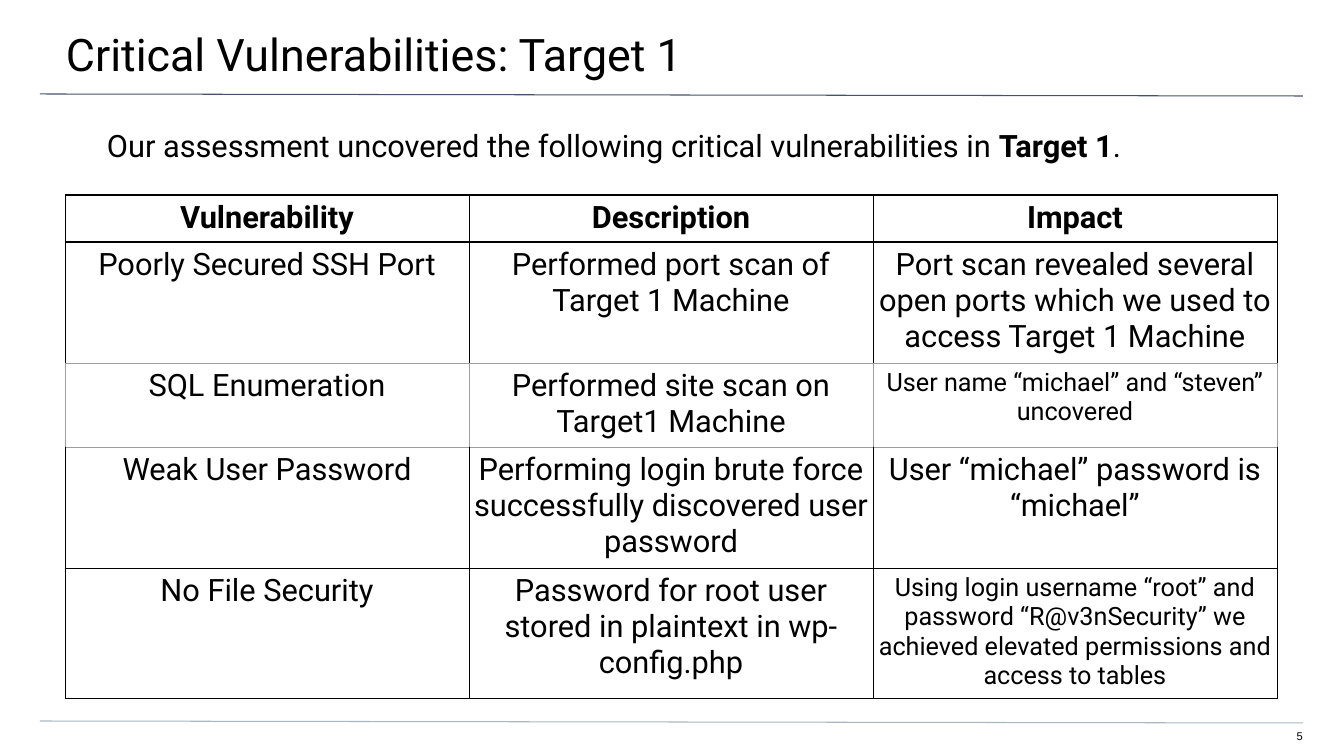
import pptx
import pptx.util
import pptx.dml.color
import pptx.enum.shapes
import pptx.enum.text
import pptx.oxml
import pptx.oxml.ns

# Content
TITLE = "Critical Vulnerabilities: Target 1"
INTRO = [
    ("Our assessment uncovered the following critical vulnerabilities in ", False),
    ("Target 1", True),
    (".", False),
]
PAGE_NUMBER = "5"
ROWS = [
    ("Vulnerability", "Description", "Impact"),
    ("Poorly Secured SSH Port", "Performed port scan of Target 1 Machine",
     "Port scan revealed several open ports which we used to access Target 1 Machine"),
    ("SQL Enumeration", "Performed site scan on Target1 Machine",
     "User name “michael” and “steven” uncovered"),
    ("Weak User Password",
     "Performing login brute force successfully discovered user password",
     "User “michael” password is “michael”"),
    ("No File Security", "Password for root user stored in plaintext in wp-config.php",
     "Using login username “root” and password “R@v3nSecurity” we "
     "achieved elevated permissions and access to tables"),
]
SMALL_CELLS = {(2, 2), (4, 2)}
GREY_ROW = 2

# Layout in px
PX_PER_INCH = 100.8
PAGE_SIZE = (1344, 756)
TABLE_BOX = (65, 195, 1212, 504)
ROW_HEIGHTS = (47, 121, 84, 121, 131)
CELL_INSET = 5
RULES = [((40, 94), (1303, 96), "44546A"), ((40, 721), (1303, 723), "A9B7C0")]

BLACK, GREY, WHITE = "000000", "9E9E9E", "FFFFFF"
SIDES = ("margin_left", "margin_top", "margin_right", "margin_bottom")
ALIGN = pptx.enum.text.PP_ALIGN


def px(length):
    return pptx.util.Emu(round(length * pptx.util.Inches(1) / PX_PER_INCH))


def color(value):
    return pptx.dml.color.RGBColor.from_string(value)


def set_all(target, values):
    for name, value in values.items():
        setattr(target, name, value)


def write(para, spans, size, font="Roboto", align=ALIGN.LEFT):
    para.alignment = align
    for text, bold in spans:
        span = para.add_run()
        span.text = text
        set_all(span.font, {"name": font, "size": pptx.util.Pt(size), "bold": bold})
        span.font.color.rgb = color(BLACK)


def add_text(page, box, insets, spans, size, **style):
    frame = page.shapes.add_textbox(*map(px, box)).text_frame
    set_all(frame, {
        "word_wrap": True,
        "auto_size": pptx.enum.text.MSO_AUTO_SIZE.NONE,
        "vertical_anchor": pptx.enum.text.MSO_ANCHOR.TOP,
        **dict(zip(SIDES, map(px, insets))),
    })
    write(frame.paragraphs[0], spans, size, **style)


def add_rule(page, start, end, line_color):
    rule = page.shapes.add_connector(
        pptx.enum.shapes.MSO_CONNECTOR.STRAIGHT, *map(px, start + end))
    rule.line.color.rgb = color(line_color)
    rule.line.width = pptx.util.Pt(0.75)
    rule._element.spPr.append(pptx.oxml.parse_xml(
        f'<a:effectLst {pptx.oxml.ns.nsdecls("a")}/>'))


def set_borders(cell, borders):
    properties = cell._tc.get_or_add_tcPr()
    for position, side in enumerate("LRTB"):
        line_color, width = borders[side]
        properties.insert(position, pptx.oxml.parse_xml(
            f'<a:ln{side} {pptx.oxml.ns.nsdecls("a")} w="{pptx.util.Pt(width)}">'
            f'<a:solidFill><a:srgbClr val="{line_color}"/></a:solidFill></a:ln{side}>'))


def cell_borders(row):
    thin_grey, thin_black, thick_black = (GREY, 0.75), (BLACK, 0.75), (BLACK, 1.25)
    edges = [thick_black, thick_black, thin_grey, thin_grey, thin_black, thin_black]
    upright = thin_grey if row == GREY_ROW else thin_black
    return {"L": upright, "R": upright, "T": edges[row], "B": edges[row + 1]}


def add_findings(page):
    table = page.shapes.add_table(len(ROWS), len(ROWS[0]), *map(px, TABLE_BOX)).table
    set_all(table, {"first_row": False, "horz_banding": False})
    for column in table.columns:
        column.width = px(TABLE_BOX[2] / len(ROWS[0]))
    for row, texts in enumerate(ROWS):
        table.rows[row].height = px(ROW_HEIGHTS[row])
        for column, text in enumerate(texts):
            cell = table.cell(row, column)
            set_all(cell, dict.fromkeys(SIDES, px(CELL_INSET)))
            cell.fill.solid()
            cell.fill.fore_color.rgb = color(WHITE)
            set_borders(cell, cell_borders(row))
            size = 18 if (row, column) in SMALL_CELLS else 22
            write(cell.text_frame.paragraphs[0], [(text, row == 0)], size,
                  align=ALIGN.CENTER)


def main():
    deck = pptx.Presentation()
    set_all(deck, dict(zip(("slide_width", "slide_height"), map(px, PAGE_SIZE))))
    page = deck.slides.add_slide(deck.slide_layouts[6])

    # Rules, title and page number
    for rule in RULES:
        add_rule(page, *rule)
    add_text(page, (-2, 0, 1348, 79), (68, 27, 40, 0), [(TITLE, False)], 32)
    add_text(page, (1265, 729, 38, 15), (0, 0, 0, 0), [(PAGE_NUMBER, False)], 8,
             font="Arial", align=ALIGN.RIGHT)

    # Introduction and table
    add_text(page, (39, 127, 1265, 544), (68, 0, 68, 0), INTRO, 22)
    add_findings(page)
    deck.save("out.pptx")


if __name__ == "__main__":
    main()
